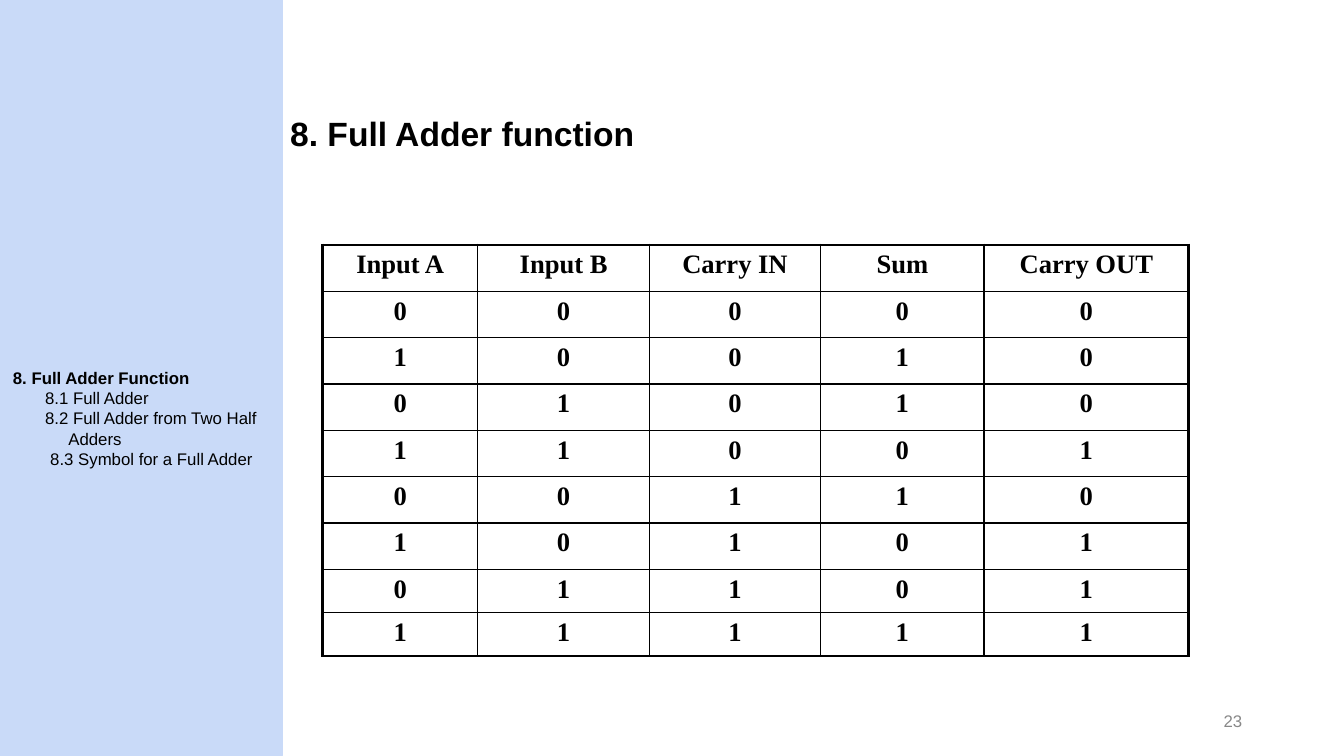
"""Build the full adder truth table slide."""
from dataclasses import dataclass

from lxml import etree
from pptx import Presentation
from pptx import util as u
from pptx.dml.color import RGBColor
from pptx.enum import shapes, text
from pptx.oxml import ns


@dataclass(frozen=True)
class Theme:
    sidebar: str = "C9DAF8"
    ink: str = "000000"
    muted: str = "888888"
    sans: str = "Arial"
    serif: str = "Times New Roman"
    title_size: int = 24
    table_size: int = 19
    small_size: int = 12
    outer_line: float = 2.25
    inner_line: float = 1


theme = Theme()


def style(para, size, name=theme.sans, color=theme.ink, bold=False):
    para.font.size = u.Pt(size)
    para.font.name = name
    para.font.bold = bold
    para.font.color.rgb = RGBColor.from_string(color)


def add_text(page, place, lines, anchor=text.MSO_ANCHOR.MIDDLE):
    box = page.shapes.add_textbox(*map(u.Inches, place))
    frame = box.text_frame
    frame.word_wrap = True
    frame.vertical_anchor = anchor
    frame.text = "\n".join(lines)
    return frame.paragraphs


deck = Presentation()
deck.slide_width, deck.slide_height = u.Inches(13.33), u.Inches(7.5)
page = deck.slides.add_slide(deck.slide_layouts[6])

sidebar = page.shapes.add_shape(
    shapes.MSO_SHAPE.RECTANGLE, u.Inches(0), u.Inches(-0.01), u.Inches(2.8), u.Inches(7.51)
)
sidebar.shadow.inherit = False
sidebar.fill.solid()
sidebar.fill.fore_color.rgb = RGBColor.from_string(theme.sidebar)
sidebar.line.color.rgb = RGBColor.from_string(theme.sidebar)
sidebar.line.width = u.Pt(0.75)

number = add_text(page, (9.42, 6.95, 3, 0.4), ["23"])[0]
number.alignment = text.PP_ALIGN.RIGHT
style(number, theme.small_size, color=theme.muted)

rows = [["Input A", "Input B", "Carry IN", "Sum", "Carry OUT"]]
for count in range(8):
    inputs = [count % 2, count // 2 % 2, count // 4]
    rows.append([*inputs, sum(inputs) % 2, sum(inputs) // 2])

widths = [1.54, 1.7, 1.7, 1.62, 2.03]
heights = [0.46] * 7 + [0.43] * 2
table = page.shapes.add_table(
    len(heights), len(widths), u.Inches(3.2), u.Inches(2.43),
    u.Inches(sum(widths)), u.Inches(sum(heights)),
).table
table.first_row = table.horz_banding = False
for column, width in zip(table.columns, widths):
    column.width = u.Inches(width)

for r, values in enumerate(rows):
    table.rows[r].height = u.Inches(heights[r])
    for c, value in enumerate(values):
        cell = table.cell(r, c)
        cell.text = str(value)
        para = cell.text_frame.paragraphs[0]
        para.alignment = text.PP_ALIGN.CENTER
        style(para, theme.table_size, theme.serif, bold=True)
        outer_edges = {
            "lnL": c == 0,
            "lnR": c == len(widths) - 1,
            "lnT": r == 0,
            "lnB": r == len(rows) - 1,
        }
        properties = cell._tc.get_or_add_tcPr()
        for edge, outer in outer_edges.items():
            weight = theme.outer_line if outer else theme.inner_line
            border = etree.SubElement(properties, ns.qn(f"a:{edge}"), w=str(u.Pt(weight)))
            fill = etree.SubElement(border, ns.qn("a:solidFill"))
            etree.SubElement(fill, ns.qn("a:srgbClr"), val=theme.ink)
        cell.fill.background()

title = add_text(page, (2.78, 0.62, 11.5, 1.45), ["8. Full Adder function"])[0]
title.line_spacing = 0.9
style(title, theme.title_size, bold=True)

outline = {
    "8. Full Adder Function": 0,
    "8.1 Full Adder": 0.32,
    "8.2 Full Adder from Two Half": 0.32,
    "Adders": 0.55,
    "8.3 Symbol for a Full Adder": 0.37,
}
paras = add_text(page, (0.03, 3.6, 3.83, 1.11), outline, text.MSO_ANCHOR.TOP)
for para, indent in zip(paras, outline.values()):
    para._p.get_or_add_pPr().set("marL", str(u.Inches(indent)))
    style(para, theme.small_size, bold=indent == 0)

deck.save("out.pptx")
